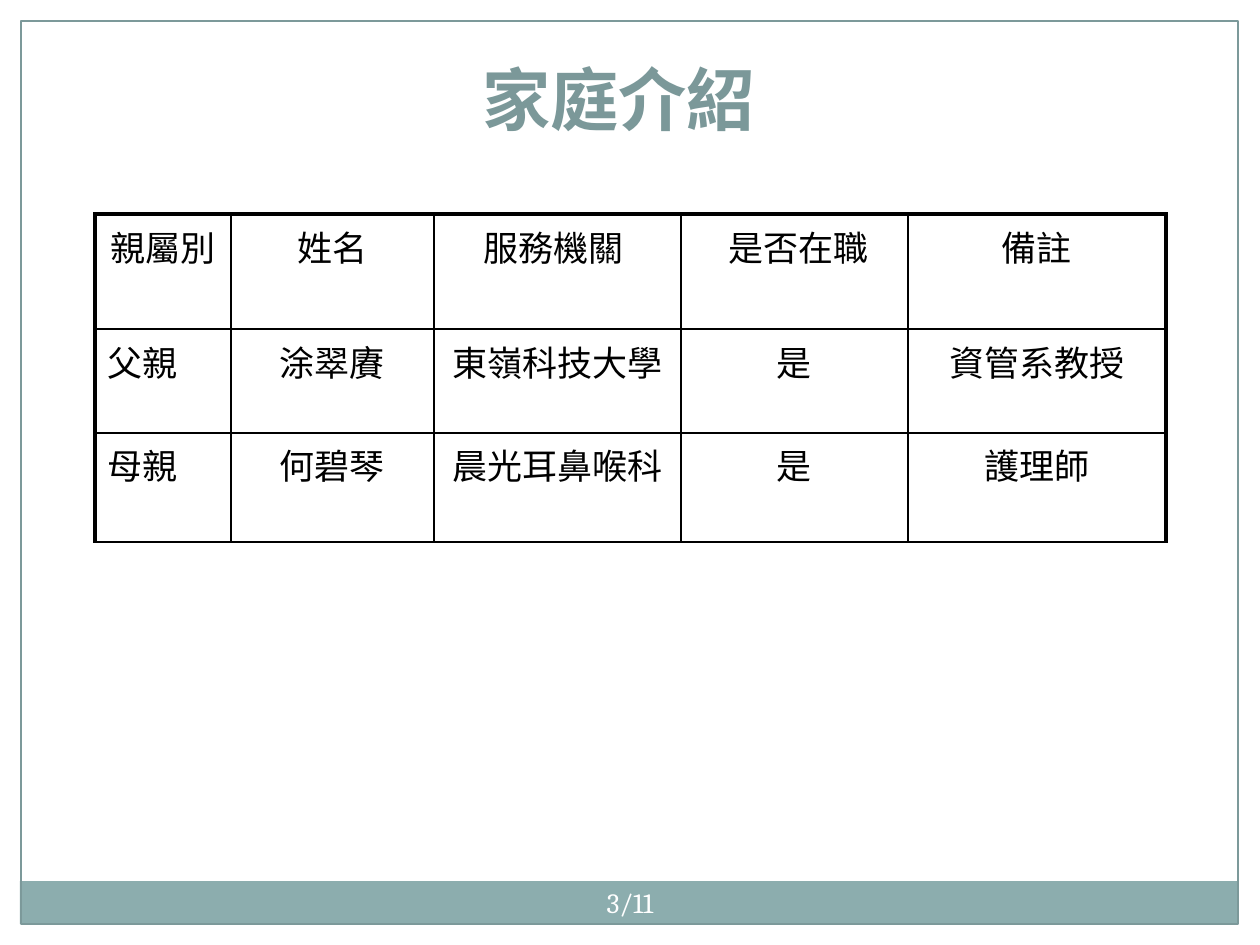
from lxml import etree
from pptx import Presentation
from pptx.dml.color import RGBColor
from pptx.enum.shapes import MSO_SHAPE as Shape
from pptx.enum.text import MSO_ANCHOR as Anchor, PP_ALIGN as Align
from pptx.oxml.ns import qn
from pptx.util import Inches, Pt

SCALE = Inches(1) / 126
TEAL = RGBColor(0x7B, 0x98, 0x99)
EDGE = RGBColor(0x7C, 0x99, 0x9A)
BAND = RGBColor(0x8C, 0xAD, 0xAE)
WHITE = RGBColor(0xFF, 0xFF, 0xFF)
BLACK = RGBColor(0, 0, 0)
SANS = "Noto Sans CJK SC"
SERIF = "Cambria"
MARGINS = ((0, 0, 1260, 21), (1239, 0, 21, 945), (0, 0, 21, 945))
COLS = (136, 203, 247, 227, 258)
ROWS = (115, 104, 109)
FAMILY = (
    ("親屬別", "姓名", "服務機關 ", " 是否在職", "備註"),
    ("父親", "涂翠賡", "東嶺科技大學", "是", "資管系教授"),
    ("母親", "何碧琴", "晨光耳鼻喉科", "是", "護理師"),
)


def px(n):
    """Turn pixels into EMU."""
    return round(n * SCALE)


def box(*sides):
    """Turn left, top, width and height into EMU."""
    return [px(n) for n in sides]


def write(frame, text, size, color, face=SANS, bold=False, align=Align.CENTER):
    """Put one styled paragraph into a text frame and return it."""
    frame.text = text
    para = frame.paragraphs[0]
    para.alignment = align
    font = para.font
    font.size, font.bold, font.name = Pt(size), bold, face
    font.color.rgb = color
    props = para._p.pPr.find(qn("a:defRPr"))
    etree.SubElement(props, qn("a:ea"), typeface=SANS)
    return para


def add_rect(slide, sides, fill=None, line=None):
    """Draw a plain rectangle with a fill or an outline."""
    rect = slide.shapes.add_shape(Shape.RECTANGLE, *box(*sides))
    rect.shadow.inherit = False
    if fill is None:
        rect.fill.background()
    else:
        rect.fill.solid()
        rect.fill.fore_color.rgb = fill
    if line is None:
        rect.line.fill.background()
    else:
        rect.line.color.rgb = line
        rect.line.width = Pt(0.75)


def add_title(slide, text):
    """Fill and place the title."""
    title = slide.shapes.title
    title.left, title.top, title.width, title.height = box(104, 45, 1029, 100)
    title.text_frame.vertical_anchor = Anchor.BOTTOM
    write(title.text_frame, text, 39, TEAL, bold=True)


def add_page(slide, text):
    """Write the page number on the band."""
    frame = slide.shapes.add_textbox(*box(588, 872, 84, 60)).text_frame
    frame.word_wrap = True
    frame.vertical_anchor = Anchor.MIDDLE
    frame.margin_left = frame.margin_right = px(6)
    write(frame, text, 16, WHITE, SERIF)


def set_edges(cell, widths):
    """Give a cell its left, right, top and bottom borders."""
    props = cell._tc.get_or_add_tcPr()
    for i, (side, width) in enumerate(zip("LRTB", widths)):
        line = etree.Element(qn(f"a:ln{side}"), w=str(Pt(width)))
        fill = etree.SubElement(line, qn("a:solidFill"))
        etree.SubElement(fill, qn("a:srgbClr"), val=str(BLACK))
        props.insert(i, line)


def add_family(slide):
    """Build the family table with a heavy left, top and right edge."""
    sides = box(95, 214, sum(COLS), sum(ROWS))
    table = slide.shapes.add_table(len(ROWS), len(COLS), *sides).table
    for col, width in zip(table.columns, COLS):
        col.width = px(width)
    for row, height in zip(table.rows, ROWS):
        row.height = px(height)
    last = len(COLS) - 1
    for r, words in enumerate(FAMILY):
        for c, word in enumerate(words):
            cell = table.cell(r, c)
            cell.fill.background()
            align = Align.LEFT if r and c == 0 else Align.CENTER
            face = SERIF if r and c == 2 else SANS
            para = write(cell.text_frame, word, 20, BLACK, face, align=align)
            para.space_before = Pt(6)
            heavy = (c == 0, c == last, r == 0, False)
            set_edges(cell, [2.25 if h else 1 for h in heavy])


def main():
    """Build and save the slide."""
    deck = Presentation()
    deck.slide_width, deck.slide_height = Inches(10), Inches(7.5)
    slide = deck.slides.add_slide(deck.slide_layouts[5])
    for sides in MARGINS:
        add_rect(slide, sides, fill=WHITE)
    add_rect(slide, (20, 881, 1217, 43), fill=BAND)
    add_rect(slide, (21, 21, 1217, 903), line=EDGE)
    add_page(slide, "3/11")
    add_title(slide, "家庭介紹")
    add_family(slide)
    deck.save("out.pptx")


if __name__ == "__main__":
    main()
